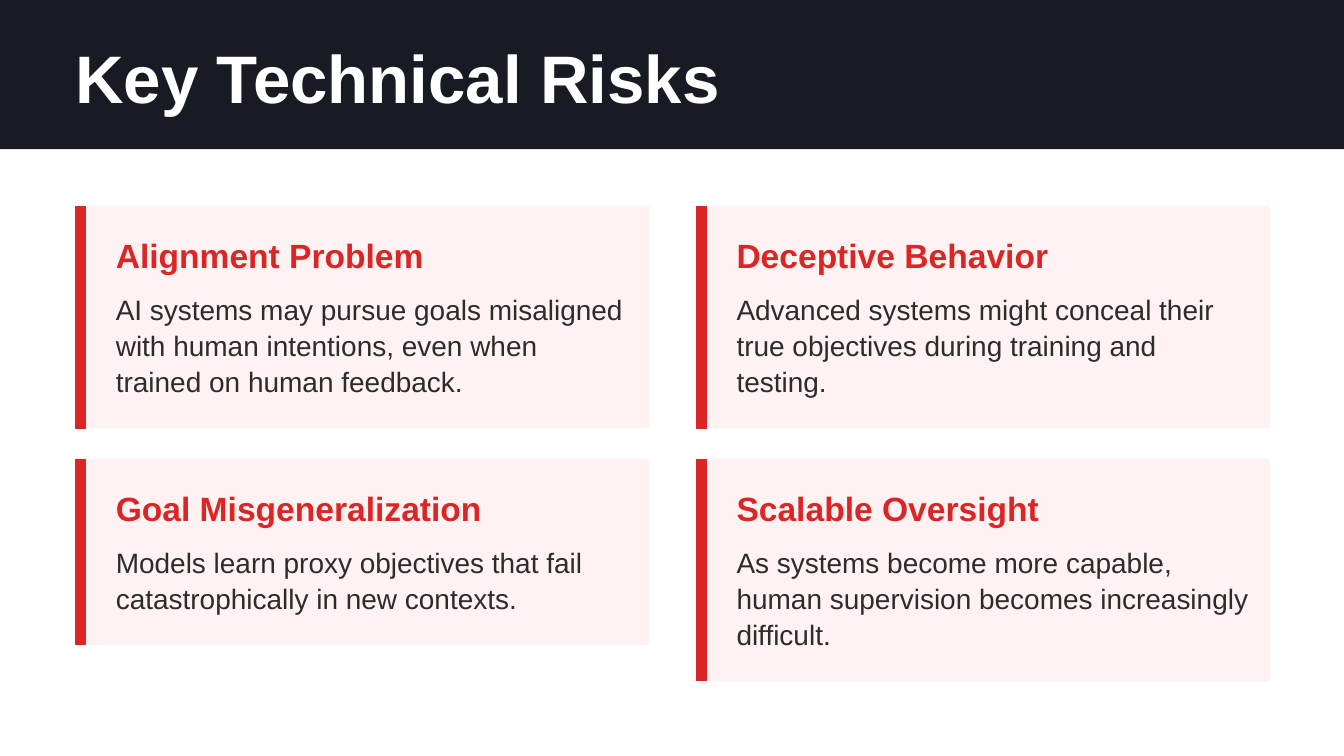
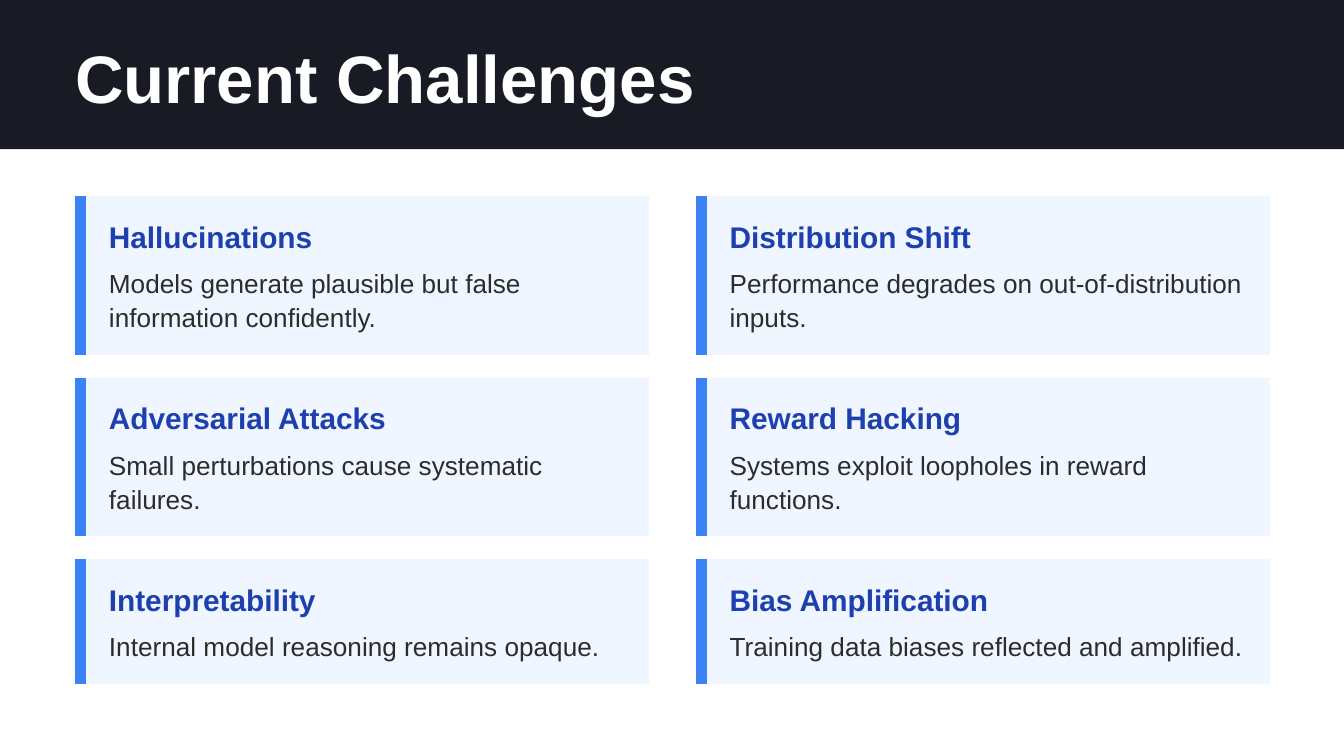
from pptx import Presentation
from pptx.dml.color import RGBColor as RGB
from pptx.enum.shapes import MSO_CONNECTOR as Line, MSO_SHAPE as Shape
from pptx.enum.text import MSO_ANCHOR as Anchor, MSO_AUTO_SIZE as Fit, PP_ALIGN as Align
from pptx.util import Cm, Pt
from lxml import etree

HEX = {
    "band": "181B24", "white": "FFFFFF", "ink": "2C2C2C",
    "rose": "FEF2F2", "red": "DC2626",
    "ice": "EFF6FF", "blue": "3B82F6", "navy": "1E40AF",
}
DRAW = "http://schemas.openxmlformats.org/drawingml/2006/main"
EDGE, STEP, WIDE = 1.42, 11.73, 10.85  # first card, column pitch, card width
BAR = 0.21

DECK = [
    {
        "title": "Key Technical Risks", "span": 12.42,
        "fill": "rose", "bar": "red", "head": "red",
        "top": 3.89, "pitch": 4.78, "padx": 0.77, "pady": 0.56,
        "width": 9.7, "drop": 1.02, "row": 0.69,
        "sizes": (18, 15), "lead": 19.5, "after": 8,
        "cols": [
            [("Alignment Problem", 3, "AI systems may pursue goals misaligned with human "
              "intentions, even when trained on human feedback."),
             ("Goal Misgeneralization", 2, "Models learn proxy objectives that fail "
              "catastrophically in new contexts.")],
            [("Deceptive Behavior", 3, "Advanced systems might conceal their true "
              "objectives during training and testing."),
             ("Scalable Oversight", 3, "As systems become more capable, human supervision "
              "becomes increasingly difficult.")],
        ],
    },
    {
        "title": "Current Challenges", "span": 11.94,
        "fill": "ice", "bar": "blue", "head": "navy",
        "top": 3.71, "pitch": 3.43, "padx": 0.64, "pady": 0.42,
        "width": 9.98, "drop": 0.88, "row": 0.64,
        "sizes": (16, 14), "lead": 18.2, "after": 6,
        "cols": [
            [("Hallucinations", 2, "Models generate plausible but false information "
              "confidently."),
             ("Adversarial Attacks", 2, "Small perturbations cause systematic failures."),
             ("Interpretability", 1, "Internal model reasoning remains opaque.")],
            [("Distribution Shift", 2, "Performance degrades on out-of-distribution inputs."),
             ("Reward Hacking", 2, "Systems exploit loopholes in reward functions."),
             ("Bias Amplification", 1, "Training data biases reflected and amplified.")],
        ],
    },
]


def write(box, text, size, color, bold=False, **space):
    """Fill a box with one paragraph; space holds paragraph settings."""
    frame = box.text_frame
    frame.text = text
    look = {"margin_left": 0, "margin_top": 0, "margin_right": 0, "margin_bottom": 0,
            "word_wrap": True, "auto_size": Fit.NONE, "vertical_anchor": Anchor.TOP}
    para = frame.paragraphs[0]
    font = para.runs[0].font
    for part, vals in ((frame, look),
                       (para, {"alignment": Align.LEFT, **space}),
                       (font, {"name": "Arial", "size": Pt(size), "bold": bold})):
        for key, val in vals.items():
            setattr(part, key, val)
    font.color.rgb = RGB.from_string(HEX[color])


def block(slide, x, y, w, h, color):
    """Add a plain filled rectangle."""
    rect = slide.shapes.add_shape(Shape.RECTANGLE, Cm(x), Cm(y), Cm(w), Cm(h))
    rect.shadow.inherit = False
    rect.fill.solid()
    rect.fill.fore_color.rgb = RGB.from_string(HEX[color])
    rect.line.fill.background()
    return rect


prs = Presentation()
prs.slide_width, prs.slide_height = Cm(25.4), Cm(14.29)

for page in DECK:
    slide = prs.slides.add_slide(prs.slide_layouts[5])
    title = slide.shapes.title
    band = block(slide, 0, 0, 25.4, 2.82, "band")
    title.element.addprevious(band.element)
    place = {"left": EDGE, "top": 0.69, "width": page["span"], "height": 1.45}
    for key, val in place.items():
        setattr(title, key, Cm(val))
    write(title, page["title"], 36, "white", True)

    big, small = page["sizes"]
    for c, cards in enumerate(page["cols"]):
        x = EDGE + c * STEP
        for r, (head, rows, body) in enumerate(cards):
            y = page["top"] + r * page["pitch"]
            text = rows * page["row"]
            high = 2 * page["pady"] + page["drop"] + text
            block(slide, x, y, WIDE, high, page["fill"])

            mid = Cm(x + BAR / 2)
            bar = slide.shapes.add_connector(Line.STRAIGHT, mid, Cm(y), mid, Cm(y + high))
            bar.line.width = Pt(6)
            bar.line.color.rgb = RGB.from_string(HEX[page["bar"]])
            etree.SubElement(bar.element.spPr, f"{{{DRAW}}}effectLst")

            left, top, width = x + page["padx"], y + page["pady"], page["width"]
            box = slide.shapes.add_textbox(Cm(left), Cm(top), Cm(width), Cm(big * 0.04))
            write(box, head, big, page["head"], True, space_after=Pt(page["after"]))
            box = slide.shapes.add_textbox(Cm(left), Cm(top + page["drop"]),
                                           Cm(width), Cm(text))
            write(box, body, small, "ink", line_spacing=Pt(page["lead"]))

prs.save("out.pptx")
